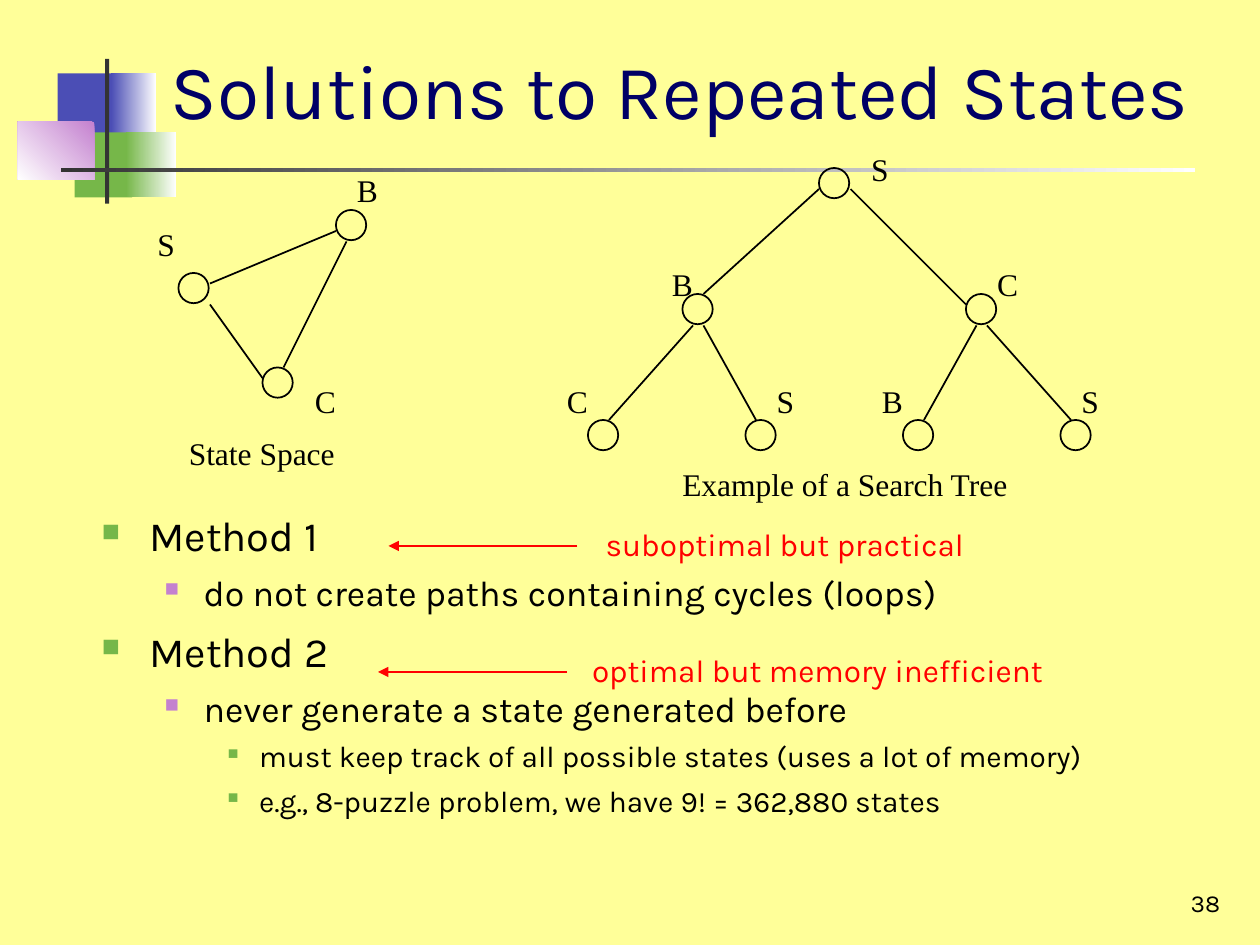
from lxml.etree import SubElement
from pptx import Presentation
from pptx.dml.color import RGBColor
from pptx.enum.shapes import MSO_CONNECTOR as Connector, MSO_SHAPE as Shape
from pptx.enum.text import MSO_ANCHOR as Anchor, PP_ALIGN as Align
from pptx.oxml.ns import qn
from pptx.util import Inches, Pt

COLORS = {
    "paper": "FFFF99", "white": "FFFFFF", "black": "000000", "navy": "000066",
    "blue": "4B4EB5", "green": "76B749", "violet": "C481CF", "gray": "333333",
    "red": "FF0000",
}
SANS, SERIF = "Karla", "Times New Roman"


class GridSlide:
    """Draws elements on one slide, measured in cells of a 120 by 90 grid."""

    columns, rows = 120, 90
    node_size, label_height = 2.88, 4.8
    levels = [
        dict(size=23.8, left=0.38, hang=0.38, before=7, bullet="green", percent=60),
        dict(size=20.4, left=0.81, hang=0.31, before=6, bullet="violet", percent=55),
        dict(size=17, left=1.25, hang=0.25, before=5, bullet="green", percent=50),
    ]

    def __init__(self, presentation):
        self.cell = presentation.slide_width / self.columns
        self.slide = presentation.slides.add_slide(presentation.slide_layouts[6])
        background = self.slide.background.fill
        background.solid()
        background.fore_color.rgb = self.color("paper")

    def color(self, name):
        return RGBColor.from_string(COLORS[name])

    def cells(self, *lengths):
        return [round(length * self.cell) for length in lengths]

    def block(self, box, *colors, angle=180):
        shape = self.slide.shapes.add_shape(Shape.RECTANGLE, *self.cells(*box))
        shape.shadow.inherit = False
        shape.line.fill.background()
        if len(colors) == 1:
            shape.fill.solid()
            shape.fill.fore_color.rgb = self.color(colors[0])
            return
        shape.fill.gradient()
        shape.fill.gradient_angle = angle
        for stop, name in zip(shape.fill.gradient_stops, colors):
            stop.color.rgb = self.color(name)

    def node(self, left, top):
        box = self.cells(left, top, self.node_size, self.node_size)
        shape = self.slide.shapes.add_shape(Shape.OVAL, *box)
        shape.shadow.inherit = False
        shape.fill.background()
        shape.line.color.rgb = self.color("black")
        shape.line.width = Pt(1)

    def line(self, ends, color="black", width=1, arrow=False):
        connector = self.slide.shapes.add_connector(Connector.STRAIGHT, *self.cells(*ends))
        connector.line.color.rgb = self.color(color)
        connector.line.width = Pt(width)
        if arrow:
            SubElement(connector.line._get_or_add_ln(), qn("a:tailEnd"), type="triangle")
        SubElement(connector._element.spPr, qn("a:effectLst"))

    def style(self, paragraph, size, font, color):
        paragraph.font.size = Pt(size)
        paragraph.font.name = font
        paragraph.font.color.rgb = self.color(color)

    def text(self, words, box, size=18, font=SERIF, color="black",
             wrap=False, anchor=Anchor.TOP, align=Align.LEFT):
        text_frame = self.slide.shapes.add_textbox(*self.cells(*box)).text_frame
        text_frame.word_wrap = wrap
        text_frame.vertical_anchor = anchor
        text_frame.text = words
        paragraph = text_frame.paragraphs[0]
        paragraph.alignment = align
        self.style(paragraph, size, font, color)

    def label(self, words, left, top, width=4.3, **style):
        self.text(words, (left, top, width, self.label_height), **style)

    def graph(self, nodes, edges, labels):
        for node in nodes:
            self.node(*node)
        for edge in edges:
            self.line(edge)
        for label in labels:
            self.label(*label)

    def remark(self, words, left, top, width, arrow):
        self.line(arrow, "red", 0.75, arrow=True)
        self.label(words, left, top, width, font=SANS, color="red")

    def outline(self, items, box):
        text_frame = self.slide.shapes.add_textbox(*self.cells(*box)).text_frame
        text_frame.word_wrap = True
        text_frame.text = "\n".join(words for _, words in items)
        for index, (paragraph, (depth, _)) in enumerate(zip(text_frame.paragraphs, items)):
            level = self.levels[depth]
            paragraph.level = depth
            paragraph.space_before = Pt(level["before"] if index else 0)
            self.bullet(paragraph, level)
            self.style(paragraph, level["size"], SANS, "black")

    def bullet(self, paragraph, level):
        properties = paragraph._p.get_or_add_pPr()
        properties.set("marL", str(Inches(level["left"])))
        properties.set("indent", str(-Inches(level["hang"])))
        tint = SubElement(properties, qn("a:buClr"))
        SubElement(tint, qn("a:srgbClr"), val=COLORS[level["bullet"]])
        SubElement(properties, qn("a:buSzPct"), val=str(level["percent"] * 1000))
        SubElement(properties, qn("a:buChar"), char="■")


def main():
    presentation = Presentation()
    presentation.slide_width, presentation.slide_height = Inches(10), Inches(7.5)
    page = GridSlide(presentation)

    page.block((5.5, 7, 5.8, 6.2), "blue")
    page.block((10.6, 7, 4.3, 6.2), "white", "blue")
    page.block((7.1, 12.6, 5.5, 6.2), "green")
    page.block((12, 12.6, 4.8, 6.2), "white", "green")
    page.block((1.7, 11.6, 7.3, 5.5), "violet", "white", angle=225)
    page.block((10, 5.6, 0.4, 13.8), "gray")
    page.block((5.8, 16, 108, 0.4), "white", "gray")

    page.text("Solutions to Repeated States", (15.1, 2.8, 102.2, 11.2), 44, SANS, "navy",
              wrap=True, anchor=Anchor.MIDDLE)
    page.outline([
        (0, "Method 1"),
        (1, "do not create paths containing cycles (loops)"),
        (0, "Method 2"),
        (1, "never generate a state generated before"),
        (2, "must keep track of all possible states (uses a lot of memory)"),
        (2, "e.g., 8-puzzle problem, we have 9! = 362,880 states"),
    ], (8.5, 48, 103, 37))

    page.graph(
        nodes=[(17, 26), (25, 35), (32, 20)],
        edges=[(20, 27, 32, 22), (33, 23, 27, 35), (20, 29, 25, 36)],
        labels=[("S", 13.8, 20.8), ("B", 32.8, 15.7), ("C", 28.8, 35.8),
                ("State Space", 16.8, 40.7, 16.3)],
    )
    leaves = [(left, 40) for left in range(56, 102, 15)]
    page.graph(
        nodes=[(78, 16), (65, 28), (92, 28), *leaves],
        edges=[(78, 18, 67, 28), (81, 18, 92, 29), (66, 31, 58, 40),
               (67, 31, 72, 40), (93, 31, 88, 40), (94, 31, 102, 40)],
        labels=[("S", 81.8, 13.7), ("B", 62.8, 24.7), ("C", 93.8, 24.7),
                ("C", 52.8, 35.8), ("S", 72.8, 35.8), ("B", 82.8, 35.8),
                ("S", 101.8, 35.8), ("Example of a Search Tree", 63.8, 43.7, 33.5)],
    )

    page.remark("suboptimal but practical", 56.5, 49.4, 36.6, (55, 52, 37, 52))
    page.remark("optimal but memory inefficient", 55.2, 61.4, 46.2, (54, 64, 36, 64))
    page.text("38", (92.4, 82, 25, 6), 14, SANS, wrap=True,
              anchor=Anchor.BOTTOM, align=Align.RIGHT)
    presentation.save("out.pptx")


if __name__ == "__main__":
    main()
